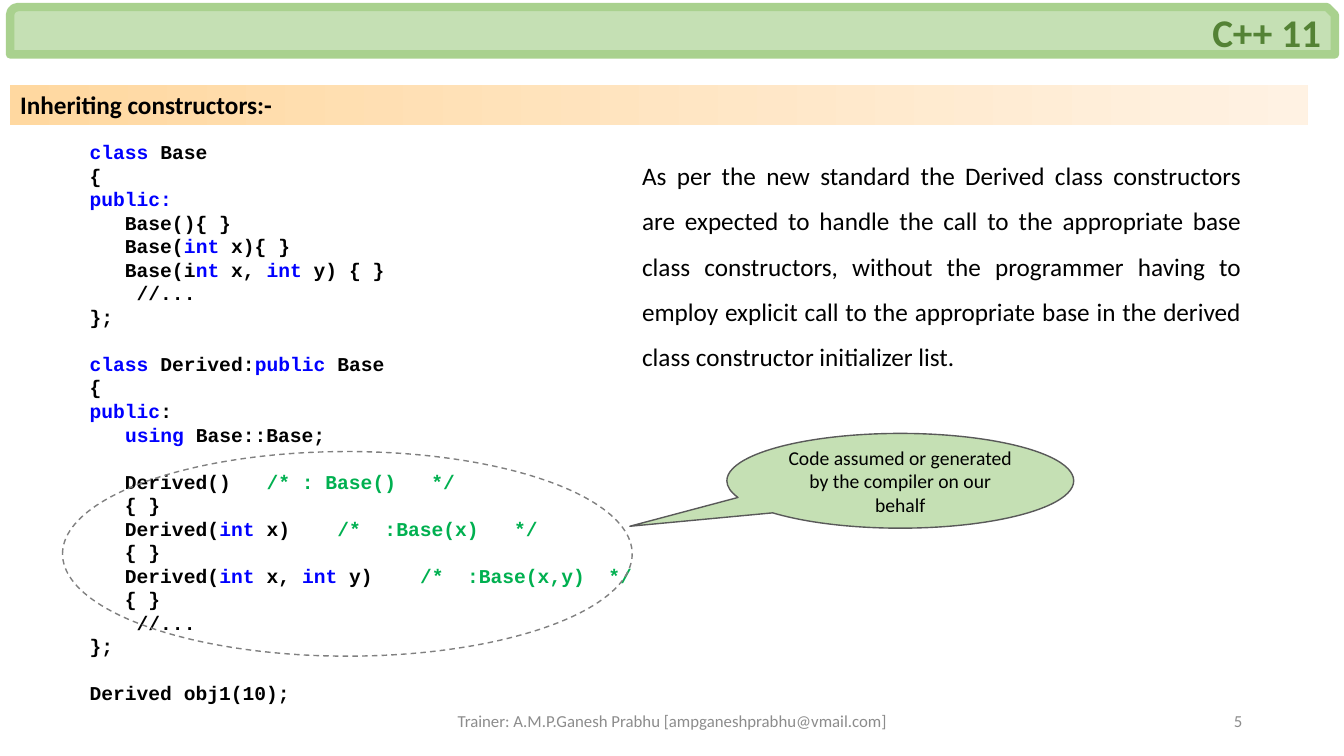
from dataclasses import dataclass

from pptx import Presentation
from pptx import util as u
from pptx.dml.color import RGBColor
from pptx.enum import dml, shapes, text

ALIGN = text.PP_ALIGN
MIDDLE = text.MSO_ANCHOR.MIDDLE
FORM = shapes.MSO_SHAPE


@dataclass(frozen=True)
class Theme:
    sans: str = "Calibri"
    mono: str = "Courier New"
    ink: str = "000000"
    keyword: str = "0000FF"
    remark: str = "00B050"
    muted: str = "8C8C8C"
    dash: str = "808080"
    edge: str = "595959"
    pale: str = "C5E0B4"
    rim: str = "A9D18E"
    deep: str = "548235"
    warm: tuple = ("FFD8A0", "FFF2E3")
    head: int = 28
    lead: int = 18
    small: int = 14
    foot: int = 12
    gap: float = 16.8


# Pieces between bars are coloured: comments green, keywords blue.
CODE = [
    """|class| Base
{
|public:|
   Base(){ }
   Base(|int| x){ }
   Base(i|nt| x, |int| y) { }
    //...
};""",
    """|class |Derived:|public| Base
{
|public|:
   |using| Base::Base;""",
    """   Derived()   |/* : Base()   */|
   { }
   Derived(|int| x)    |/*  :Base(x)   */|
   { }
   Derived(|int| x, |int| y)    |/*  :Base(x,y)  */|
   { }
    //...
};""",
    "Derived obj1(10);",
]


class Deck:
    def __init__(self, theme):
        self.theme = theme
        self.prs = Presentation()
        self.prs.slide_width = u.Inches(13.33)
        self.prs.slide_height = u.Inches(7.5)
        self.slide = self.prs.slides.add_slide(self.prs.slide_layouts[5])

    def style(self, font, size, color, bold=False, face=None):
        font.name = face or self.theme.sans
        font.size = u.Pt(size)
        font.bold = bold
        font.color.rgb = RGBColor.from_string(color)

    def put(self, shape, words, size, color, align=ALIGN.LEFT,
            bold=False, anchor=MIDDLE, space=None):
        frame = shape.text_frame
        frame.text = words
        frame.word_wrap = True
        frame.auto_size = text.MSO_AUTO_SIZE.NONE
        frame.vertical_anchor = anchor
        para = frame.paragraphs[0]
        para.alignment = align
        para.line_spacing = space
        self.style(para.runs[0].font, size, color, bold)

    def title(self, box, words):
        shape = self.slide.shapes.title
        shape.left, shape.top, shape.width, shape.height = map(u.Inches, box)
        shape.fill.gradient()
        shape.fill.gradient_angle = 0
        for stop, color in zip(shape.fill.gradient_stops, self.theme.warm):
            stop.color.rgb = RGBColor.from_string(color)
        self.put(shape, words, self.theme.lead, self.theme.ink, bold=True)

    def label(self, box, words, size, color, **look):
        shape = self.slide.shapes.add_textbox(*map(u.Inches, box))
        self.put(shape, words, size, color, **look)

    def shape(self, form, box, line, width=1, fill=None):
        shape = self.slide.shapes.add_shape(form, *map(u.Inches, box))
        shape.shadow.inherit = False
        if fill:
            shape.fill.solid()
            shape.fill.fore_color.rgb = RGBColor.from_string(fill)
        else:
            shape.fill.background()
        shape.line.color.rgb = RGBColor.from_string(line)
        shape.line.width = u.Pt(width)
        return shape

    def code(self, box, blocks):
        look = self.theme
        frame = self.slide.shapes.add_textbox(*map(u.Inches, box)).text_frame
        frame.word_wrap = True
        para = None
        for block in blocks:
            for row, line in enumerate(block.split("\n")):
                first = para is None
                para = frame.paragraphs[0] if first else frame.add_paragraph()
                if row == 0 and not first:
                    para.space_before = u.Pt(look.gap)
                for spot, piece in enumerate(line.split("|")):
                    if not piece:
                        continue
                    color = look.ink
                    if spot % 2:
                        note = piece.startswith("/*")
                        color = look.remark if note else look.keyword
                    run = para.add_run()
                    run.text = piece
                    self.style(run.font, look.small, color, True, look.mono)


def main():
    look = Theme()
    deck = Deck(look)

    # Section title and code
    deck.title((0.1, 0.84, 12.87, 0.4), "Inheriting constructors:-")
    deck.code((0.79, 1.34, 7.09, 5.76), CODE)

    # Explanation
    deck.label(
        (6.27, 1.39, 6.14, 2.33),
        "As per the new standard the Derived class constructors are expected "
        "to handle the call to the appropriate base class constructors, "
        "without the programmer having to employ explicit call to the "
        "appropriate base in the derived class constructor initializer list.",
        look.lead, look.ink, align=ALIGN.JUSTIFY,
        anchor=text.MSO_ANCHOR.TOP, space=1.5)

    # Ring around the generated code, with its callout
    ring = deck.shape(FORM.OVAL, (0.62, 4.48, 5.65, 2.03), look.dash)
    ring.line.dash_style = dml.MSO_LINE.DASH
    call = deck.shape(FORM.OVAL_CALLOUT, (7.21, 4.3, 3.44, 0.94),
                      look.edge, fill=look.pale)
    call.adjustments[0] = -0.78
    call.adjustments[1] = 0.48
    deck.put(call, "Code assumed or generated by the compiler on our behalf",
             look.small, look.ink, ALIGN.CENTER)

    # Footer
    deck.label((4.42, 6.95, 4.5, 0.4),
               "Trainer: A.M.P.Ganesh Prabhu [ampganeshprabhu@vmail.com]",
               look.foot, look.muted, align=ALIGN.CENTER)
    deck.label((9.42, 6.95, 3, 0.4), "5", look.foot, look.muted,
               align=ALIGN.RIGHT)

    # Header bar
    bar = deck.shape(FORM.SNIP_ROUND_RECTANGLE, (0.1, 0.07, 13.14, 0.47),
                     look.rim, 6, look.pale)
    deck.put(bar, "C++ 11", look.head, look.deep, ALIGN.RIGHT, True)

    deck.prs.save("out.pptx")


if __name__ == "__main__":
    main()
